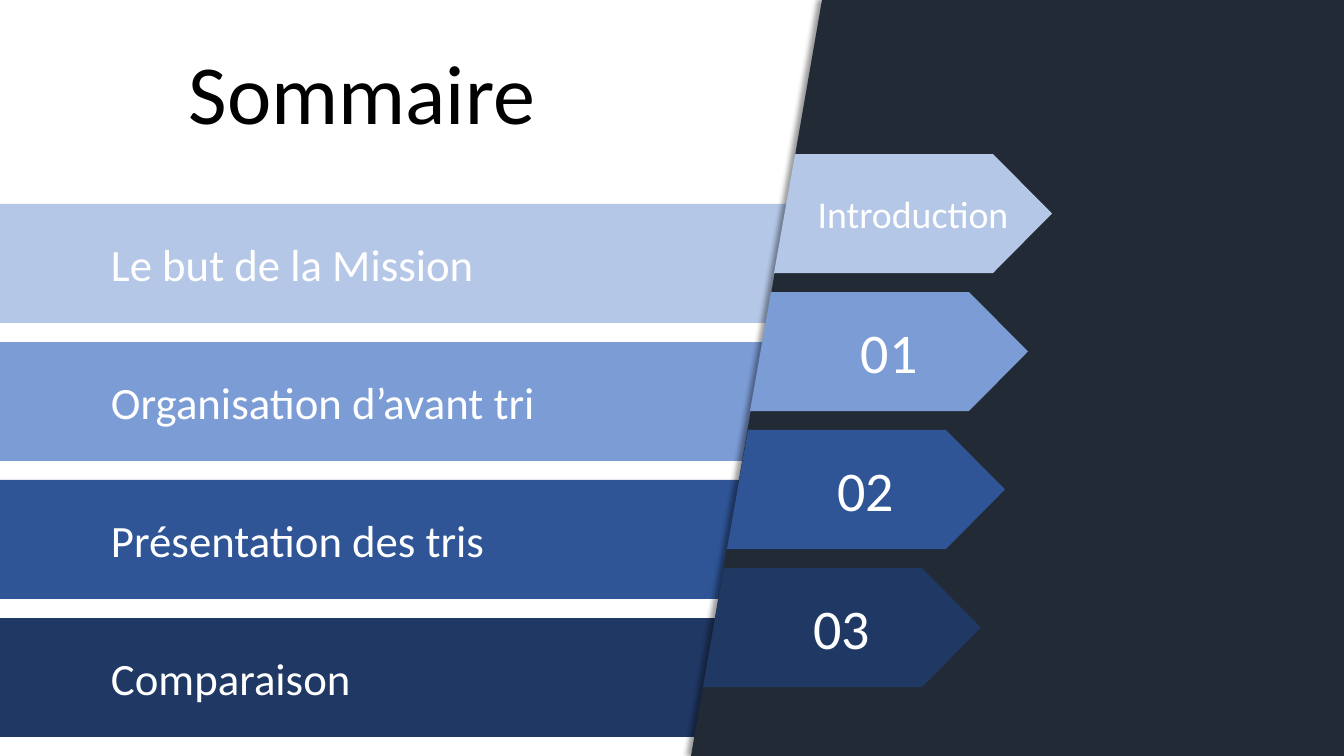
from lxml import etree
from pptx import Presentation
from pptx.dml.color import RGBColor
from pptx.enum.shapes import MSO_SHAPE
from pptx.enum.text import MSO_ANCHOR, PP_ALIGN
from pptx.oxml.ns import qn
from pptx.util import Emu, Pt

RECTANGLE = MSO_SHAPE.RECTANGLE
MIDDLE, TOP = MSO_ANCHOR.MIDDLE, MSO_ANCHOR.TOP
LEFT, CENTER = PP_ALIGN.LEFT, PP_ALIGN.CENTER

SCALE = 914400 / 100.8
WIDTH, HEIGHT = 1344, 756
FONT = "Calibri"

WHITE = RGBColor(0xFF, 0xFF, 0xFF)
BLACK = RGBColor(0x00, 0x00, 0x00)
NIGHT = RGBColor(0x22, 0x2A, 0x35)
PALE_BLUE = RGBColor(0xB4, 0xC7, 0xE7)
SOFT_BLUE = RGBColor(0x7C, 0x9C, 0xD6)
MID_BLUE = RGBColor(0x2F, 0x55, 0x97)
DEEP_BLUE = RGBColor(0x20, 0x38, 0x64)

# Bar text, tag text, tag text size, colour
CHAPTERS = [
    ("Le but de la Mission", "Introduction", 27, PALE_BLUE),
    ("Organisation d’avant tri", "01", 40, SOFT_BLUE),
    ("Présentation des tris", "02", 40, MID_BLUE),
    ("Comparaison", "03", 40, DEEP_BLUE),
]
ROW_STEP, ROW_HEIGHT = 138, 119
BAR_TOP, BAR_INDENT = 204, 111
TAG_TOP, TAG_LEFT, TAG_SHIFT = 154, 774, 23.7


def px(value):
    return Emu(round(value * SCALE))


def set_values(target, values):
    for name, value in values.items():
        setattr(target, name, value)


def paint(shape, color):
    shape.shadow.inherit = False
    shape.fill.solid()
    shape.fill.fore_color.rgb = color
    shape.line.fill.background()


def write(shape, text, size, color=WHITE, align=CENTER, anchor=MIDDLE, indent=10):
    frame = shape.text_frame
    set_values(frame, {"word_wrap": True, "vertical_anchor": anchor,
                       "margin_left": px(indent)})
    paragraph = frame.paragraphs[0]
    paragraph.alignment = align
    run = paragraph.add_run()
    run.text = text
    set_values(run.font, {"name": FONT, "size": Pt(size)})
    run.font.color.rgb = color


def add_bar(slide, top, text, color):
    bar = slide.shapes.add_shape(RECTANGLE, 0, px(top), px(WIDTH), px(ROW_HEIGHT))
    paint(bar, color)
    write(bar, text, 32, align=LEFT, indent=BAR_INDENT)


def add_outline(slide, points, color):
    start, *others = [(px(x), px(y)) for x, y in points]
    builder = slide.shapes.build_freeform(*start)
    builder.add_line_segments(others, close=True)
    outline = builder.convert_to_shape()
    paint(outline, color)
    return outline


def add_shadow(shape):
    effects = shape._element.spPr.find(qn("a:effectLst"))
    shadow = etree.SubElement(effects, qn("a:outerShdw"), blurRad=str(Pt(4)),
                              dist=str(Pt(3)), dir="10800000", algn="r",
                              rotWithShape="0")
    color = etree.SubElement(shadow, qn("a:srgbClr"), val=str(BLACK))
    etree.SubElement(color, qn("a:alpha"), val="40000")


def add_tag(slide, left, top, text, size, color):
    bottom = top + ROW_HEIGHT
    points = [(left + 21, top), (left + 219, top),
              (left + 278, top + ROW_HEIGHT / 2),
              (left + 219, bottom), (left, bottom)]
    write(add_outline(slide, points, color), text, size)


def add_title(slide, text):
    title = slide.shapes.add_textbox(px(71), px(36), px(582), px(112))
    write(title, text, 60, color=BLACK, anchor=TOP)


def main():
    presentation = Presentation()
    set_values(presentation, {"slide_width": px(WIDTH), "slide_height": px(HEIGHT)})
    slide = presentation.slides.add_slide(presentation.slide_layouts[6])

    # Chapter bars
    for row, (chapter, _, _, color) in enumerate(CHAPTERS):
        add_bar(slide, BAR_TOP + row * ROW_STEP, chapter, color)

    # Slanted dark panel over the bars
    panel = add_outline(slide, [(822, 0), (WIDTH, 0), (WIDTH, HEIGHT), (691, HEIGHT)],
                        NIGHT)
    add_shadow(panel)

    # Arrow tags along the slant
    for row, (_, label, size, color) in enumerate(CHAPTERS):
        left = round(TAG_LEFT - row * TAG_SHIFT)
        add_tag(slide, left, TAG_TOP + row * ROW_STEP, label, size, color)

    add_title(slide, "Sommaire")
    presentation.save("out.pptx")


main()
